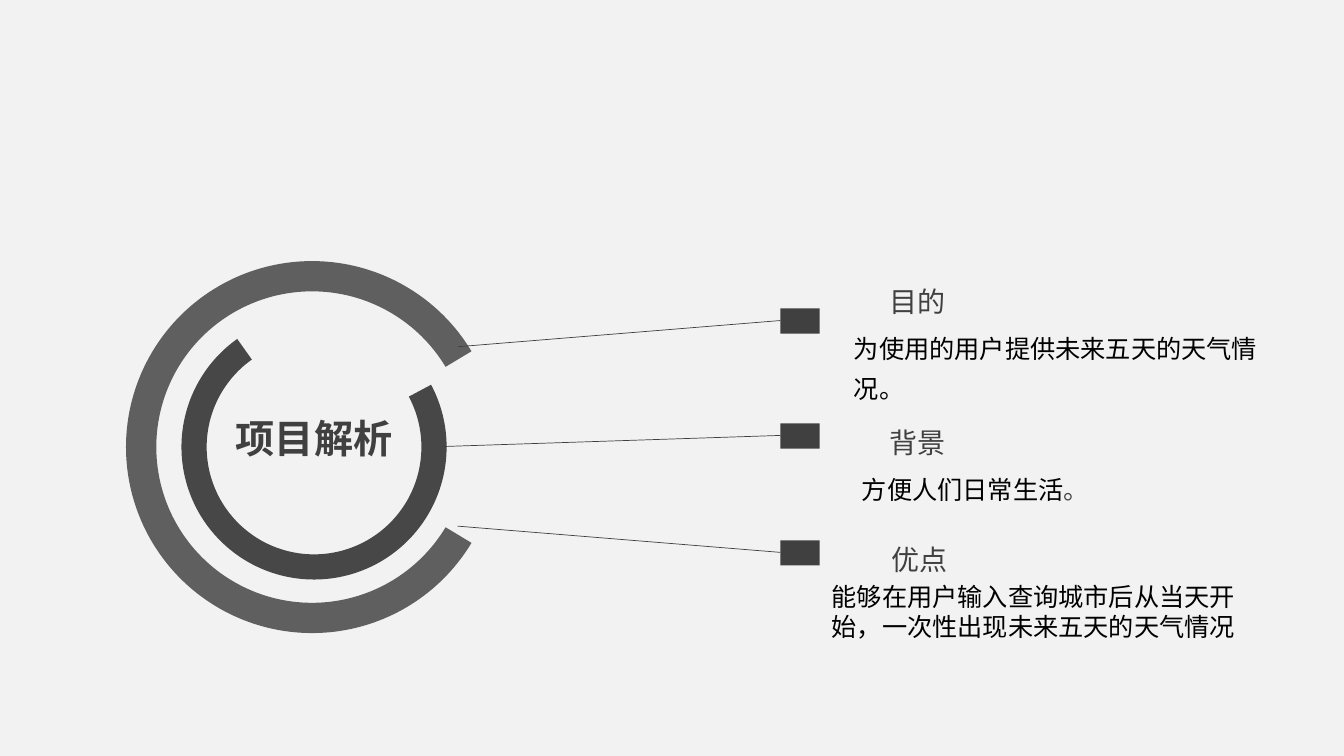
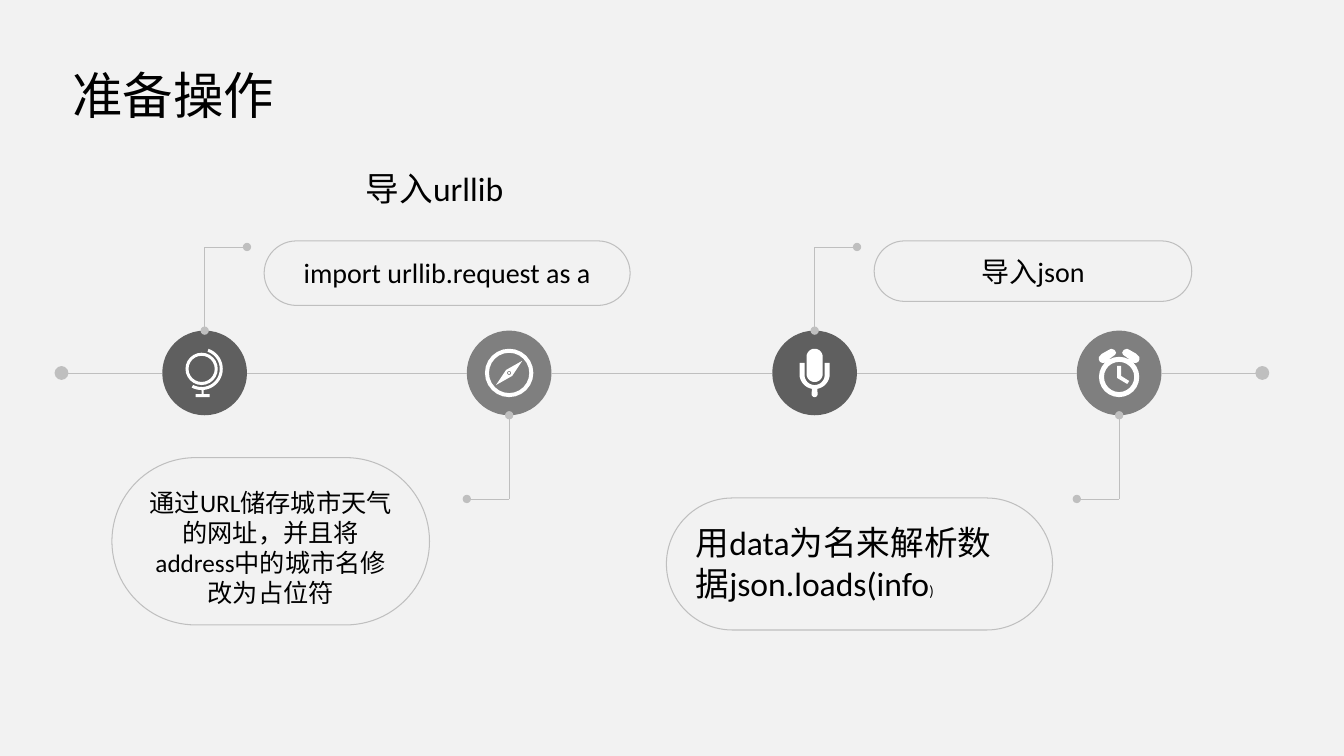
from dataclasses import dataclass
from math import cos, radians, sin

from pptx import Presentation
from pptx.dml.color import RGBColor
from pptx.enum.shapes import MSO_CONNECTOR, MSO_SHAPE
from pptx.enum.text import MSO_ANCHOR, PP_ALIGN
from pptx.oxml.ns import qn
from pptx.shapes.autoshape import Shape
from pptx.slide import Slide
from pptx.util import Inches, Pt
from lxml import etree

RECT = MSO_SHAPE.RECTANGLE
OVAL = MSO_SHAPE.OVAL
PILL = MSO_SHAPE.ROUNDED_RECTANGLE
ARC = MSO_SHAPE.BLOCK_ARC
STRAIGHT = MSO_CONNECTOR.STRAIGHT
TOP = MSO_ANCHOR.TOP
LEFT = PP_ALIGN.LEFT
CENTER = PP_ALIGN.CENTER

Point = tuple[float, float]
Path = list[Point]
Box = tuple[float, float, float, float]


@dataclass(frozen=True)
class Theme:
    back: str = "F2F2F2"
    ink: str = "000000"
    dark: str = "404040"
    inner: str = "474747"
    deep: str = "5F5F5F"
    mid: str = "7F7F7F"
    rule: str = "BFBFBF"
    white: str = "FFFFFF"
    han: str = "Noto Sans CJK SC"
    latin: str = "Calibri"
    title: float = 36
    hub: float = 28
    large: float = 24
    label: float = 20
    body: float = 18
    tiny: float = 10.6
    thin: float = 0.5
    edge: float = 0.75


THEME = Theme()


@dataclass(frozen=True)
class Topic:
    label: str
    text: str
    head: Box
    body: Box
    mark: float
    start: Point
    lead: float | None = None
    space: float | None = None
    end: str = ""


@dataclass(frozen=True)
class Stop:
    x: float
    color: str
    side: int
    icon: list[Path]


@dataclass(frozen=True)
class Note:
    text: str
    box: Box
    size: float
    align: PP_ALIGN = CENTER
    end: str = ""


def tint(name: str) -> RGBColor:
    return RGBColor.from_string(name)


def write(shape: Shape, text: str, *, size: float, color: str = THEME.ink,
          font: str = THEME.han, bold: bool = False, align: PP_ALIGN = LEFT,
          space: float | None = None, pad: float = 0.05) -> None:
    frame = shape.text_frame
    frame.word_wrap = True
    frame.vertical_anchor = TOP
    frame.margin_left = frame.margin_right = Inches(0.1)
    frame.margin_top = frame.margin_bottom = Inches(pad)
    line = frame.paragraphs[0]
    line.alignment = align
    if space:
        line.line_spacing = space
    run = line.add_run()
    run.text = text
    run.font.name = font
    run.font.size = Pt(size)
    run.font.bold = bold
    run.font.color.rgb = tint(color)
    east = etree.Element(qn("a:ea"), typeface=THEME.han)
    run.font._element.find(qn("a:latin")).addnext(east)


def label(slide: Slide, box: Box) -> Shape:
    return slide.shapes.add_textbox(*map(Inches, box))


def paint(shape: Shape, fill: str | None, line: str | None = None) -> Shape:
    shape.shadow.inherit = False
    if fill:
        shape.fill.solid()
        shape.fill.fore_color.rgb = tint(fill)
    else:
        shape.fill.background()
    if line:
        shape.line.color.rgb = tint(line)
        shape.line.width = Pt(THEME.edge)
    else:
        shape.line.fill.background()
    return shape


def block(slide: Slide, kind: MSO_SHAPE, box: Box, fill: str | None,
          line: str | None = None) -> Shape:
    return paint(slide.shapes.add_shape(kind, *map(Inches, box)), fill, line)


def ring(slide: Slide, box: Box, start: float, stop: float, thick: float,
         fill: str) -> None:
    shape = block(slide, ARC, box, fill)
    shape.adjustments[0] = start * 0.6
    shape.adjustments[1] = stop * 0.6
    shape.adjustments[2] = thick / box[2]


def link(slide: Slide, start: Point, stop: Point, color: str,
         dot: str = "", size: str = "med") -> None:
    line = slide.shapes.add_connector(STRAIGHT, *map(Inches, start + stop))
    line.line.color.rgb = tint(color)
    line.line.width = Pt(THEME.thin)
    if dot:
        etree.SubElement(line.line._get_or_add_ln(), qn(f"a:{dot}"),
                         type="oval", w=size, len=size)
    etree.SubElement(line._element.spPr, qn("a:effectLst"))


def curve(x: float, y: float, r: float, start: float, stop: float) -> Path:
    count = 24
    turns = [radians(start + (stop - start) * i / count)
             for i in range(count + 1)]
    return [(x + r * cos(t), y + r * sin(t)) for t in turns]


def circle(x: float, y: float, r: float) -> Path:
    return curve(x, y, r, 0, 360)


def draw(slide: Slide, x: float, y: float, icon: list[Path]) -> None:
    paths = [[(Inches(x + a), Inches(y + b)) for a, b in path]
             for path in icon]
    pen = slide.shapes.build_freeform(*paths[0][0])
    for path in paths:
        pen.move_to(*path[0])
        pen.add_line_segments(path[1:], close=True)
    paint(pen.convert_to_shape(), THEME.white)


BELL = [(0.08, -0.24), (0.1, -0.23), (0.17, -0.19), (0.2, -0.16),
        (0.2, -0.13), (0.19, -0.11), (0.17, -0.1), (0.15, -0.1),
        (0.04, -0.18), (0.03, -0.2), (0.04, -0.22), (0.05, -0.23)]
GLOBE = [
    circle(-0.03, -0.04, 0.16), circle(-0.03, -0.04, 0.13),
    curve(-0.03, -0.04, 0.21, -71, 118) + curve(-0.03, -0.04, 0.18, 118, -71),
    [(-0.03, 0.17), (-0.01, 0.17), (-0.01, 0.21), (0.05, 0.21),
     (0.05, 0.24), (-0.09, 0.24), (-0.09, 0.21), (-0.03, 0.21)],
]
NEEDLE = [(0.13, -0.12), (0.03, 0.03), (-0.13, 0.12), (-0.03, -0.03)]
COMPASS = [circle(0, 0, 0.24), circle(0, 0, 0.2), NEEDLE,
           circle(0, 0, 0.02), circle(0, 0, 0.01)]
MIC = [
    [(-0.15, -0.1), (-0.1, -0.1)] + curve(0, 0.02, 0.1, 180, 0)
    + [(0.1, -0.1), (0.15, -0.1)] + curve(0, 0.01, 0.15, 0, 80)
    + curve(0, 0.21, 0.03, 0, 180) + curve(0, 0.01, 0.15, 100, 180),
    curve(0, -0.16, 0.08, 180, 360) + curve(0, 0.01, 0.08, 0, 180),
]
CLOCK = [
    circle(0, 0.04, 0.2), circle(0, 0.04, 0.15),
    [(-0.02, -0.07), (0.02, -0.07), (0.02, 0.03), (0.1, 0.08),
     (0.08, 0.11), (-0.02, 0.05)],
    BELL, [(-x, y) for x, y in BELL],
]

TOPICS = [
    Topic("目的", "为使用的用户提供未来五天的天气情况。", (8.13, 2.82, 1.94, 0.34),
          (8.37, 3.17, 4.22, 0.88), 3.06, (4.54, 3.44), space=1.3),
    Topic("背景", "方便人们日常生活", (8.13, 4.06, 1.94, 0.5),
          (8.45, 4.57, 4.06, 0.49), 4.2, (4.39, 4.43), 1.5, 1.3, "。"),
    Topic("优点", "能够在用户输入查询城市后从当天开始，一次性出现未来五天的天气情况",
          (8.15, 5.22, 1.94, 0.5), (8.15, 5.72, 4.22, 0.7), 5.36,
          (4.54, 5.22), 1.5),
]
STOPS = [
    Stop(2.03, THEME.deep, -1, GLOBE),
    Stop(5.05, THEME.mid, 1, COMPASS),
    Stop(8.08, THEME.deep, -1, MIC),
    Stop(11.1, THEME.mid, 1, CLOCK),
]
NOTES = [
    Note("import urllib.request as a", (2.62, 2.39, 3.63, 0.64), THEME.label),
    Note("导入json", (8.67, 2.39, 3.15, 0.6), THEME.label),
    Note("通过URL储存城市天气的网址，并且将address中的城市名修改为占位符",
         (1.11, 4.54, 3.15, 1.66), THEME.body),
    Note("用data为名来解析数据json.loads(info", (6.61, 4.94, 3.83, 1.31),
         THEME.large, LEFT, ")"),
]


def goals(slide: Slide) -> None:
    ring(slide, (1.25, 2.59, 3.69, 3.69), 31, 329, 0.3, THEME.deep)
    ring(slide, (1.8, 3.12, 2.63, 2.63), 332, 234.6, 0.25, THEME.inner)
    write(label(slide, (2.24, 4.06, 1.93, 0.57)), "项目解析",
          size=THEME.hub, color=THEME.dark, bold=True)
    for item in TOPICS:
        write(label(slide, item.head), item.label, size=THEME.label,
              color=THEME.dark, align=CENTER, space=item.lead, pad=0)
        body = label(slide, item.body)
        write(body, item.text, size=THEME.body, space=item.space)
        if item.end:
            write(body, item.end, size=THEME.body, color=THEME.dark)
        block(slide, RECT, (7.74, item.mark, 0.39, 0.25), THEME.dark)
        link(slide, (7.74, item.mark + 0.12), item.start, THEME.dark)


def steps(slide: Slide) -> None:
    mid, rad, arm = 3.7, 0.42, 1.25
    left, right = 0.61, 12.52
    write(label(slide, (0.62, 0.59, 2.91, 0.71)), "准备操作",
          size=THEME.title)
    write(label(slide, (2.62, 1.62, 3.38, 0.5)), "导入urllib",
          size=THEME.large, font=THEME.latin, align=CENTER)
    last = left
    for stop in STOPS:
        x, side = stop.x, stop.side
        block(slide, OVAL, (x - rad, mid - rad, 2 * rad, 2 * rad), stop.color)
        link(slide, (last, mid), (x - rad, mid), THEME.rule,
             "headEnd" if last == left else "", "lg")
        last = x + rad
        bend = (x, mid + side * arm)
        link(slide, (x, mid + side * rad), bend, THEME.rule, "headEnd")
        link(slide, bend, (x - side * rad, bend[1]), THEME.rule, "tailEnd")
        draw(slide, x, mid, stop.icon)
    link(slide, (last, mid), (right, mid), THEME.rule, "tailEnd", "lg")
    for note in NOTES:
        pill = block(slide, PILL, note.box, None, THEME.rule)
        pill.adjustments[0] = 0.5
        write(pill, note.text, size=note.size, font=THEME.latin,
              align=note.align)
        if note.end:
            write(pill, note.end, size=THEME.tiny, font=THEME.latin,
                  align=note.align)


def main() -> None:
    deck = Presentation()
    deck.slide_width, deck.slide_height = Inches(13.33), Inches(7.5)
    for build in (goals, steps):
        slide = deck.slides.add_slide(deck.slide_layouts[6])
        slide.background.fill.solid()
        slide.background.fill.fore_color.rgb = tint(THEME.back)
        build(slide)
    deck.save("out.pptx")


if __name__ == "__main__":
    main()
